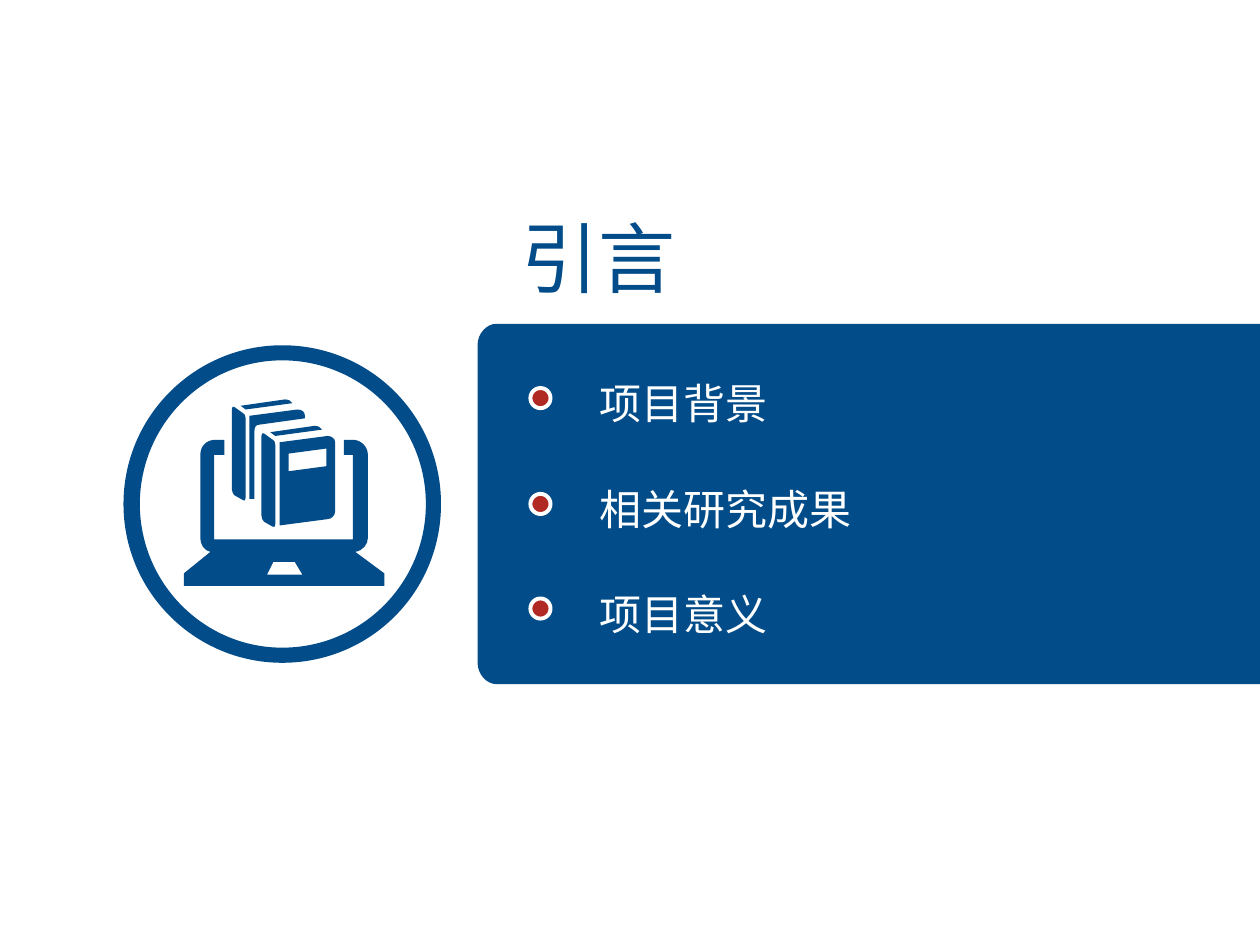
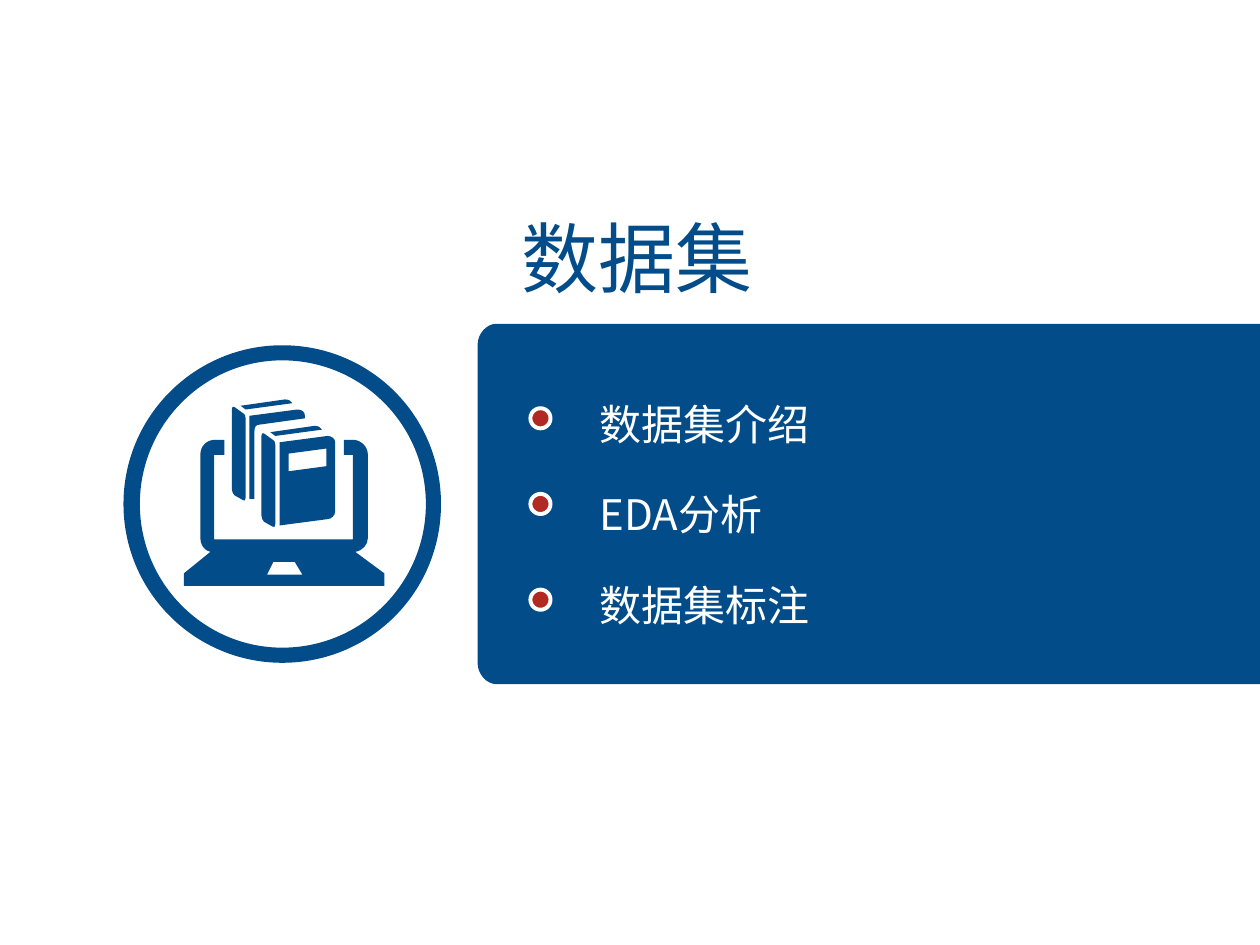
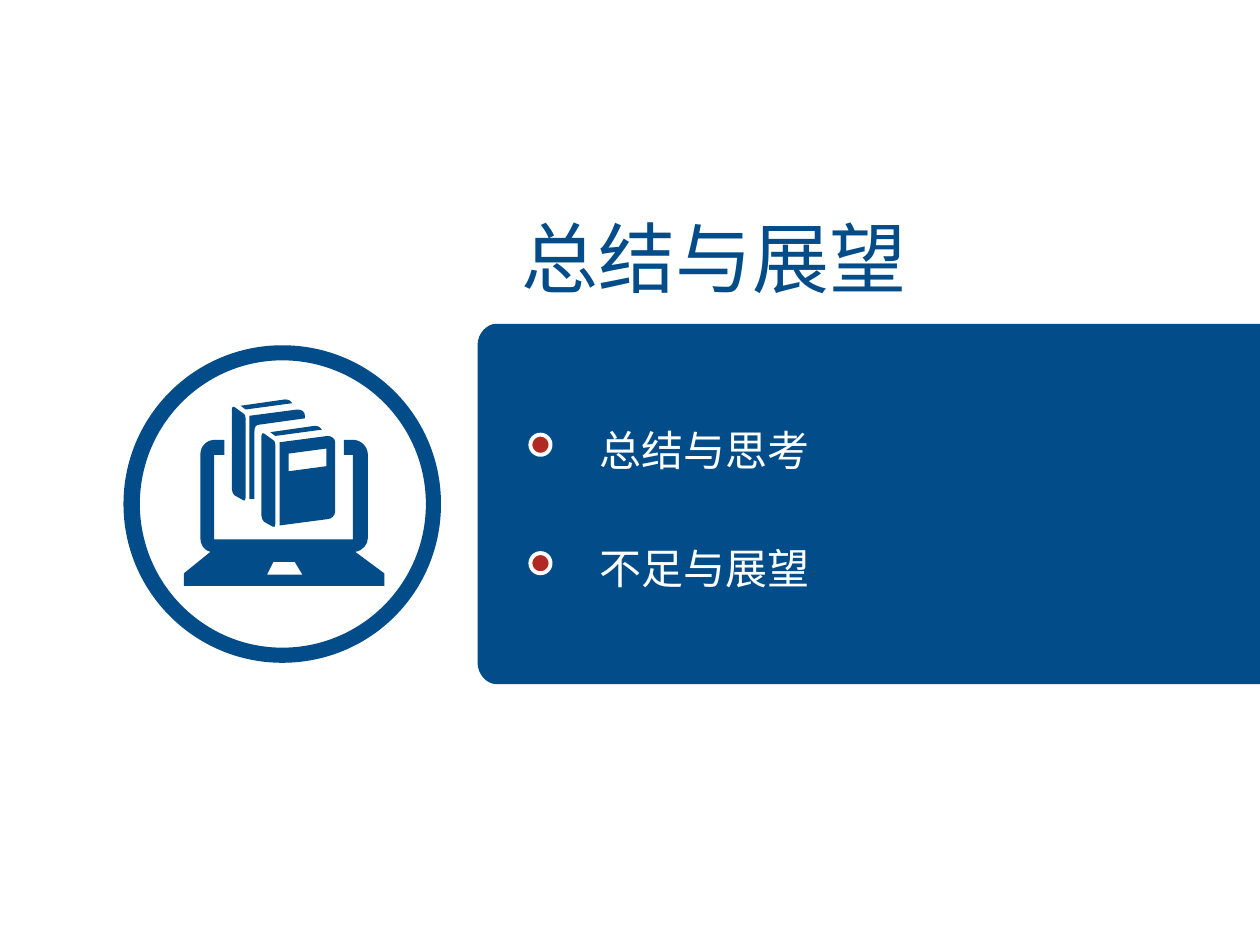
from lxml import etree
from pptx import Presentation
from pptx.dml.color import RGBColor
from pptx.enum.shapes import MSO_SHAPE
from pptx.enum.text import MSO_ANCHOR, MSO_AUTO_SIZE, PP_ALIGN
from pptx.oxml.ns import qn
from pptx.util import Inches, Pt

NAVY = RGBColor(0x02, 0x4C, 0x89)
RED = RGBColor(0xB1, 0x29, 0x23)
WHITE = RGBColor(0xFF, 0xFF, 0xFF)
FONT = "Noto Sans CJK SC"
OVAL = MSO_SHAPE.OVAL
TOP = MSO_ANCHOR.TOP
LEFT = PP_ALIGN.LEFT
GROW = MSO_AUTO_SIZE.SHAPE_TO_FIT_TEXT
TITLE_ONLY = 5

# Title, top of the first topic, distance between topics, (topic, dot top)
SECTIONS = [
    ("引言", 2.75, 0.835,
     [("项目背景", 3.08), ("相关研究成果", 3.92), ("项目意义", 4.75)]),
    ("数据集", 2.91, 0.72,
     [("数据集介绍", 3.24), ("EDA分析", 3.92), ("数据集标注", 4.68)]),
    ("总结与展望", 3.12, 0.94,
     [("总结与思考", 3.45), ("不足与展望", 4.39)]),
]

# Outlines in inches: a pair is a corner, six numbers are a Bezier curve
PANEL = [(3.94, 2.57), (10, 2.57), (10, 5.43), (3.94, 5.43),
         (3.86, 5.43, 3.79, 5.35, 3.79, 5.26), (3.79, 2.74),
         (3.79, 2.65, 3.86, 2.57, 3.94, 2.57)]
RING_INSIDE = [(2.24, 2.86), (2.87, 2.86, 3.38, 3.37, 3.38, 4),
               (3.38, 4.63, 2.87, 5.14, 2.24, 5.14),
               (1.62, 5.14, 1.11, 4.63, 1.11, 4),
               (1.11, 3.37, 1.62, 2.86, 2.24, 2.86)]
RING_OUTSIDE = [(2.24, 2.74), (2.94, 2.74, 3.5, 3.3, 3.5, 4),
                (3.5, 4.7, 2.94, 5.26, 2.24, 5.26),
                (1.55, 5.26, 0.98, 4.7, 0.98, 4),
                (0.98, 3.3, 1.55, 2.74, 2.24, 2.74)]
BOOK_TOP = [(1.91, 3.22), (1.95, 3.25), (2.32, 3.2),
            (2.31, 3.18, 2.29, 3.17, 2.26, 3.17)]
BOOK_SPINE = [(1.86, 3.23), (1.93, 3.28),
              (1.94, 3.28, 1.95, 3.3, 1.95, 3.32), (1.95, 3.95),
              (1.95, 3.97, 1.94, 3.98, 1.93, 3.97), (1.86, 3.93),
              (1.85, 3.92, 1.84, 3.9, 1.84, 3.88), (1.84, 3.25),
              (1.84, 3.23, 1.85, 3.22, 1.86, 3.23)]
FRONT_COVER = [(2.22, 3.51), (2.6, 3.46),
               (2.63, 3.46, 2.66, 3.48, 2.66, 3.51), (2.66, 4.06),
               (2.66, 4.09, 2.63, 4.12, 2.6, 4.12), (2.22, 4.17)]
COVER_LABEL = [(2.29, 3.6), (2.59, 3.56), (2.59, 3.7), (2.29, 3.74)]
BACK_COVER = [(1.98, 3.3), (2.36, 3.25),
              (2.4, 3.25, 2.42, 3.27, 2.42, 3.3), (2.42, 3.32), (2.06, 3.37),
              (2.03, 3.37, 2.02, 3.39, 2.02, 3.42), (2.02, 3.96), (1.98, 3.96)]
TOUCHPAD = [(2.17, 4.46), (2.34, 4.46), (2.4, 4.56), (2.12, 4.56)]
LAPTOP = [(1.7, 3.61), (1.78, 3.61), (1.78, 3.49), (1.71, 3.49),
          (1.64, 3.49, 1.59, 3.54, 1.59, 3.61), (1.59, 4.27),
          (1.59, 4.32, 1.62, 4.37, 1.67, 4.38),
          (1.46, 4.55), (1.46, 4.65), (3.05, 4.65), (3.05, 4.55), (2.82, 4.38),
          (2.88, 4.37, 2.92, 4.32, 2.92, 4.27), (2.92, 3.61),
          (2.92, 3.54, 2.86, 3.49, 2.8, 3.49), (2.73, 3.49), (2.73, 3.61),
          (2.8, 3.61), (2.8, 4.28), (1.7, 4.28)]
SECOND_BOOK = (0.235, 0.21)


def shifted(outline):
    """Move an outline from the back book to the front one."""
    return [tuple(value + SECOND_BOOK[index % 2]
                  for index, value in enumerate(step)) for step in outline]


ICON = [RING_INSIDE, RING_OUTSIDE, TOUCHPAD, BOOK_TOP, BOOK_SPINE,
        shifted(BOOK_TOP), shifted(BOOK_SPINE), FRONT_COVER, COVER_LABEL,
        BACK_COVER, LAPTOP]


def bend(segment, step, shape):
    """Replace a straight segment by the Bezier curve of its step."""
    curve = etree.Element(qn("a:cubicBezTo"))
    for x, y in zip(step[::2], step[1::2]):
        etree.SubElement(curve, qn("a:pt"), x=str(Inches(x) - shape.left),
                         y=str(Inches(y) - shape.top))
    segment.getparent().replace(segment, curve)


def add_outline(page, outlines):
    """Draw outlines as one navy shape; inner outlines become holes."""
    builder = None
    for outline in outlines:
        first, *rest = [(Inches(step[-2]), Inches(step[-1]))
                        for step in outline]
        if builder is None:
            builder = page.shapes.build_freeform(*first)
        else:
            builder.move_to(*first)
        builder.add_line_segments(rest, close=True)
    shape = builder.convert_to_shape()
    segments = list(shape._element.iter(qn("a:lnTo")))
    steps = [step for outline in outlines for step in outline[1:]]
    for segment, step in zip(segments, steps):
        if len(step) == 6:
            bend(segment, step, shape)
    shape.shadow.inherit = False
    shape.fill.solid()
    shape.fill.fore_color.rgb = NAVY
    shape.line.fill.background()


def write_text(box, text, size, color, spacing=1.0):
    frame = box.text_frame
    frame.word_wrap = True
    frame.auto_size = GROW
    frame.vertical_anchor = TOP
    para = frame.paragraphs[0]
    para.alignment = LEFT
    para.line_spacing = spacing
    span = para.add_run()
    span.text = text
    span.font.size = Pt(size)
    span.font.color.rgb = color
    span.font.name = FONT
    etree.SubElement(span.font._element, qn("a:ea"), typeface=FONT)


def add_title(page, text):
    title = page.shapes.title
    title.left, title.top = Inches(4.04), Inches(1.62)
    title.width, title.height = Inches(5.13), Inches(0.84)
    write_text(title, text, 44, NAVY)


def add_dot(page, top):
    dot = page.shapes.add_shape(OVAL, Inches(4.21), Inches(top),
                                Inches(0.16), Inches(0.16))
    dot.shadow.inherit = False
    dot.fill.solid()
    dot.fill.fore_color.rgb = RED
    dot.line.color.rgb = WHITE
    dot.line.width = Pt(2.25)


def add_topic(page, text, top):
    box = page.shapes.add_textbox(Inches(4.66), Inches(top),
                                  Inches(4.21), Inches(0.64))
    write_text(box, text, 24, WHITE, 1.5)


def add_section(deck, title, first_top, pitch, topics):
    page = deck.slides.add_slide(deck.slide_layouts[TITLE_ONLY])
    add_outline(page, [PANEL])
    add_title(page, title)
    add_outline(page, ICON)
    for index, (topic, dot_top) in enumerate(topics):
        add_dot(page, dot_top)
        add_topic(page, topic, first_top + index * pitch)


def main():
    deck = Presentation()
    deck.slide_width, deck.slide_height = Inches(10), Inches(7.5)
    for section in SECTIONS:
        add_section(deck, *section)
    deck.save("out.pptx")


if __name__ == "__main__":
    main()
